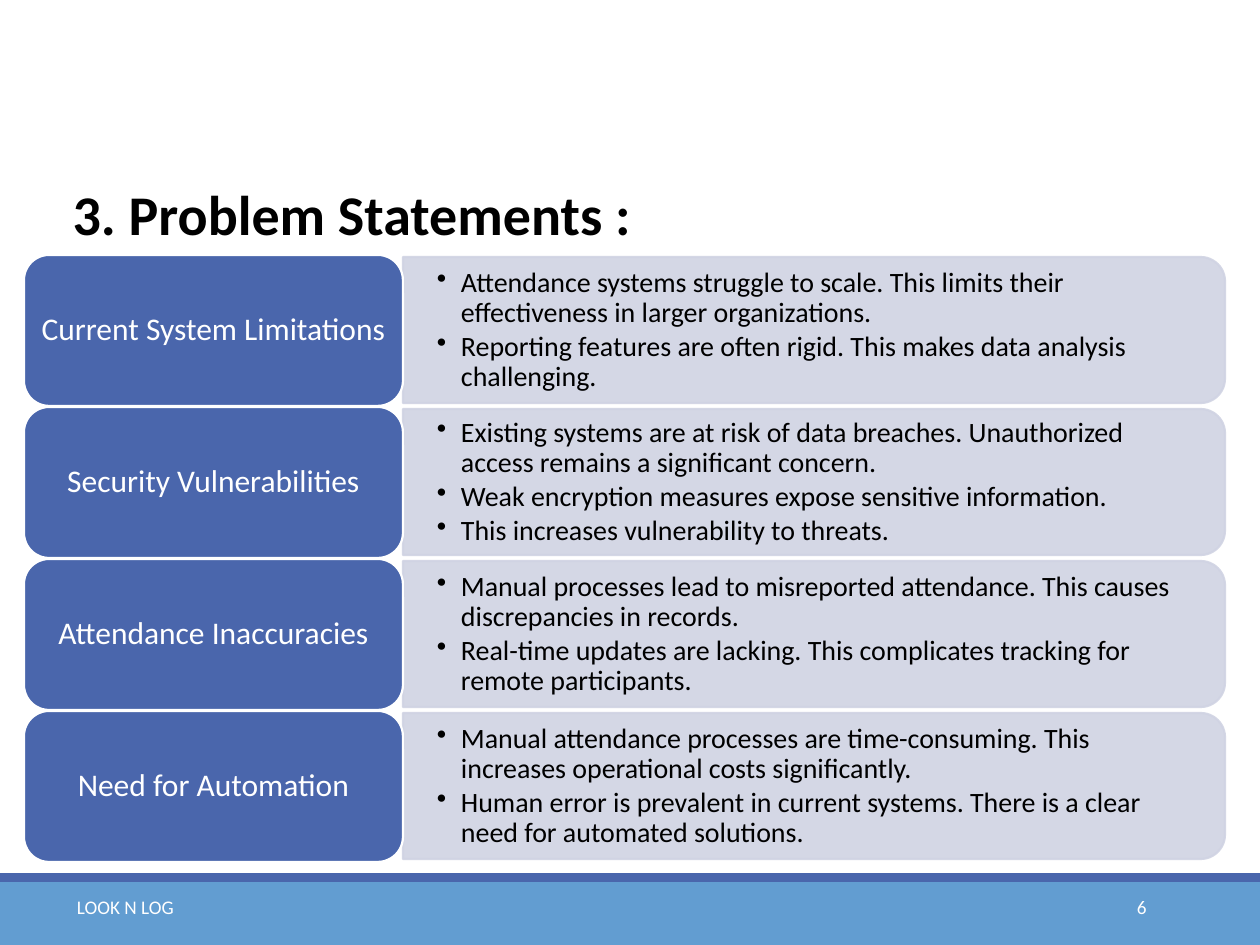
"""Build the problem statements slide with four labelled rows of bullets."""
from dataclasses import dataclass

from lxml.etree import SubElement
from pptx import Presentation
from pptx.dml.color import RGBColor as Color
from pptx.enum.shapes import MSO_SHAPE as Shape
from pptx.enum.text import MSO_ANCHOR as Anchor, PP_ALIGN as Align
from pptx.oxml.ns import qn
from pptx.util import Pt

TITLE = "3. Problem Statements :"
PROBLEMS = [
    ("Current System Limitations", [
        "Attendance systems struggle to scale. This limits their effectiveness in larger organizations.",
        "Reporting features are often rigid. This makes data analysis challenging.",
    ]),
    ("Security Vulnerabilities", [
        "Existing systems are at risk of data breaches. Unauthorized access remains a significant concern.",
        "Weak encryption measures expose sensitive information.",
        "This increases vulnerability to threats.",
    ]),
    ("Attendance Inaccuracies", [
        "Manual processes lead to misreported attendance. This causes discrepancies in records.",
        "Real-time updates are lacking. This complicates tracking for remote participants.",
    ]),
    ("Need for Automation", [
        "Manual attendance processes are time-consuming. This increases operational costs significantly.",
        "Human error is prevalent in current systems. There is a clear need for automated solutions.",
    ]),
]
FOOTERS = [
    ("LOOK N LOG", (0, 889, 251, 50), Align.CENTER),
    ("6", (1023, 889, 136, 50), Align.RIGHT),
]


@dataclass(frozen=True)
class Theme:
    font: str = "Calibri"
    dark: Color = Color.from_string("000000")
    light: Color = Color.from_string("FFFFFF")
    accent: Color = Color.from_string("4A66AC")
    band: Color = Color.from_string("629DD1")
    panel: Color = Color.from_string("D0D3E3")
    title_size: int = 32
    label_size: int = 18
    bullet_size: int = 16
    footer_size: int = 11
    line_width: float = 1.25


THEME = Theme()
BARS = [((0, 882, 1260, 63), THEME.band), ((0, 873, 1260, 9), THEME.accent)]
FIRST_CENTER, ROW_PITCH = 330, 152
LABEL_LEFT, LABEL_WIDTH, LABEL_HEIGHT = 24, 379, 151
PANEL_LEFT, PANEL_WIDTH, PANEL_HEIGHT = 403, 822, 146
BULLETS_WIDTH, BULLETS_HEIGHT, BULLET_INDENT = 814, 131, 24


def px(length):
    return round(length * 914400 / 126)


def add_shape(slide, kind, box, fill, line=None):
    shape = slide.shapes.add_shape(kind, *map(px, box))
    shape.shadow.inherit = False
    shape.fill.solid()
    shape.fill.fore_color.rgb = fill
    if line is None:
        shape.line.fill.background()
    else:
        shape.line.color.rgb = line
        shape.line.width = Pt(THEME.line_width)
    return shape


def add_text_box(slide, box):
    frame = slide.shapes.add_textbox(*map(px, box)).text_frame
    frame.word_wrap = True
    return frame


def set_margins(frame, horizontal, vertical):
    frame.margin_left = frame.margin_right = px(horizontal)
    frame.margin_top = frame.margin_bottom = px(vertical)


def write(paragraph, text, size, color, align=Align.LEFT, bold=False):
    paragraph.text = text
    paragraph.alignment = align
    font = paragraph.font
    font.name, font.size, font.bold = THEME.font, Pt(size), bold
    font.color.rgb = color


def add_bullet(paragraph):
    properties = paragraph._p.get_or_add_pPr()
    properties.set("marL", str(px(BULLET_INDENT)))
    properties.set("indent", str(-px(BULLET_INDENT)))
    bullet = properties.makeelement(qn("a:buChar"), {"char": "•"})
    properties.find(qn("a:defRPr")).addprevious(bullet)


def add_panel(slide, center):
    left = PANEL_LEFT + (PANEL_WIDTH - PANEL_HEIGHT) // 2
    box = (left, center - PANEL_WIDTH // 2, PANEL_HEIGHT, PANEL_WIDTH)
    panel = add_shape(slide, Shape.ROUND_2_SAME_RECTANGLE, box, THEME.panel, THEME.panel)
    panel.rotation = 90
    for color in panel._element.spPr.iter(qn("a:srgbClr")):
        SubElement(color, qn("a:alpha"), val="90000")


def add_bullets(slide, center, bullets):
    top = center - BULLETS_HEIGHT // 2
    frame = add_text_box(slide, (PANEL_LEFT, top, BULLETS_WIDTH, BULLETS_HEIGHT))
    frame.vertical_anchor = Anchor.MIDDLE
    set_margins(frame, 34, 18)
    for index, text in enumerate(bullets):
        paragraph = frame.add_paragraph() if index else frame.paragraphs[0]
        write(paragraph, text, THEME.bullet_size, THEME.dark)
        paragraph.line_spacing = 0.9
        paragraph.space_after = Pt(2.2)
        add_bullet(paragraph)


def add_label(slide, center, text):
    box = (LABEL_LEFT, center - LABEL_HEIGHT // 2, LABEL_WIDTH, LABEL_HEIGHT)
    label = add_shape(slide, Shape.ROUNDED_RECTANGLE, box, THEME.accent, THEME.light)
    frame = label.text_frame
    frame.word_wrap = True
    frame.vertical_anchor = Anchor.MIDDLE
    set_margins(frame, 8, 5)
    write(frame.paragraphs[0], text, THEME.label_size, THEME.light, Align.CENTER)
    frame.paragraphs[0].line_spacing = 0.9


def main():
    presentation = Presentation()
    presentation.slide_width, presentation.slide_height = px(1260), px(945)
    slide = presentation.slides.add_slide(presentation.slide_layouts[5])

    title = slide.shapes.title
    title.left, title.top, title.width, title.height = map(px, (60, 173, 1164, 81))
    title.text_frame.vertical_anchor = Anchor.TOP
    write(title.text_frame.paragraphs[0], TITLE, THEME.title_size, THEME.dark, bold=True)

    for box, color in BARS:
        add_shape(slide, Shape.RECTANGLE, box, color)
    for row, (label, bullets) in enumerate(PROBLEMS):
        center = FIRST_CENTER + row * ROW_PITCH
        add_panel(slide, center)
        add_bullets(slide, center, bullets)
        add_label(slide, center, label)
    for text, box, align in FOOTERS:
        frame = add_text_box(slide, box)
        write(frame.paragraphs[0], text, THEME.footer_size, THEME.light, align)

    presentation.save("out.pptx")


if __name__ == "__main__":
    main()
